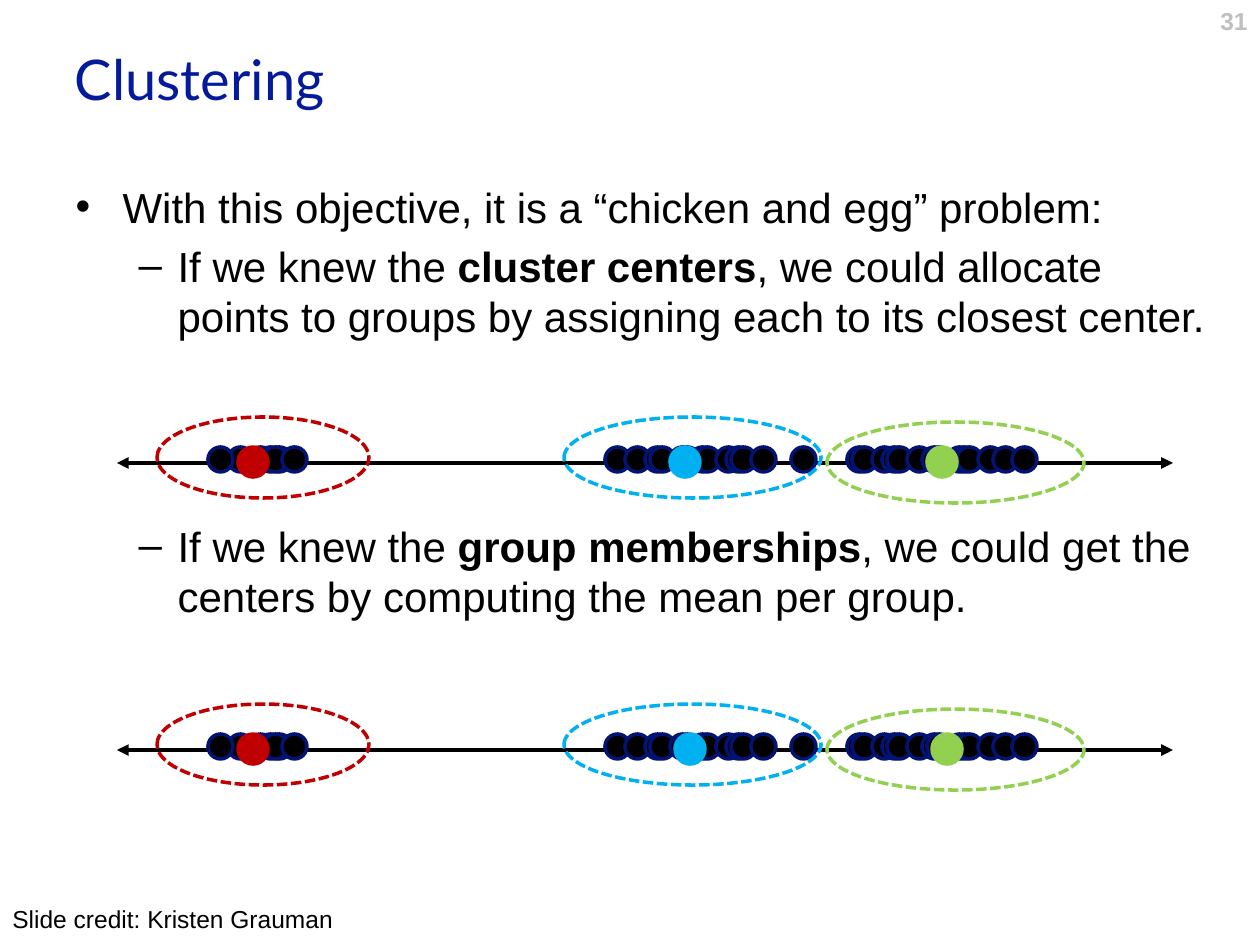
from lxml import etree
from pptx import Presentation
from pptx.dml.color import RGBColor
from pptx.enum.dml import MSO_LINE
from pptx.enum.shapes import MSO_CONNECTOR, MSO_SHAPE
from pptx.enum.text import MSO_ANCHOR, MSO_AUTO_SIZE, PP_ALIGN
from pptx.oxml.ns import qn
from pptx.util import Emu, Pt

STRAIGHT = MSO_CONNECTOR.STRAIGHT
ELLIPSE = MSO_SHAPE.OVAL
DASHED = MSO_LINE.SQUARE_DOT
LEFT, RIGHT = PP_ALIGN.LEFT, PP_ALIGN.RIGHT
TOP, MIDDLE = MSO_ANCHOR.TOP, MSO_ANCHOR.MIDDLE
NO_FIT = MSO_AUTO_SIZE.NONE

BLACK, NAVY, GREY, TITLE_BLUE = "000000", "031373", "BFBFBF", "041A9B"
RED, BLUE, GREEN = "C00000", "00B0F0", "92D050"

# Left edges of the data points, in drawing order
POINTS = [228, 248, 208, 267, 605, 625, 645, 650, 670, 675, 258, 263, 282,
          847, 852, 872, 882, 887, 907, 690, 695, 716, 726, 731, 751, 791,
          922, 927, 947, 952, 957, 978, 993, 1012]
# Colour and outline box of each cluster, for a number line at the top row
CLUSTERS = [(RED, (157, 417, 212, 81)),
            (BLUE, (564, 417, 257, 81)),
            (GREEN, (827, 422, 257, 81))]
ROW_STEP = 287
CENTERS_BY_ROW = [(238, 670, 927), (238, 675, 932)]

# Text, level, first-line layout; bold spans are marked True
BULLETS = [
    dict(spans=[("With this objective, it is a “chicken and egg” problem:", False)],
         level=0, mark="•", margin=47, hang=47, before=0),
    dict(spans=[("If we knew the ", False), ("cluster centers", True),
                (", we could allocate points to groups by assigning each "
                 "to its closest center.", False)],
         level=1, mark="–", margin=102, hang=39, before=4.8),
    dict(spans=[("If we knew the ", False), ("group memberships", True),
                (", we could get the centers by computing the mean per group.",
                 False)],
         level=1, mark="–", margin=102, hang=39, before=102.5),
]


def px(length):
    return Emu(round(length * 914400 / 126))


def color(value):
    return RGBColor.from_string(value)


def set_font(font, size, hex_color, **formats):
    font.size = Pt(size)
    font.color.rgb = color(hex_color)
    for name, value in formats.items():
        setattr(font, name, value)


def place(shape, *bounds):
    for name, value in zip(("left", "top", "width", "height"), bounds):
        setattr(shape, name, px(value))


def set_frame(frame, anchor):
    formats = dict(word_wrap=True, auto_size=NO_FIT, vertical_anchor=anchor)
    for name, value in formats.items():
        setattr(frame, name, value)


def add_label(page, text, bounds, align, size, hex_color, bold=False):
    box = page.shapes.add_textbox(*map(px, bounds))
    set_frame(box.text_frame, TOP)
    para = box.text_frame.paragraphs[0]
    para.alignment = align
    span = para.add_run()
    span.text = text
    set_font(span.font, size, hex_color, name="Arial", bold=bold)


def fill_title(page):
    title = page.shapes.title
    place(title, 62, 0, 1134, 157)
    set_frame(title.text_frame, MIDDLE)
    para = title.text_frame.paragraphs[0]
    para.alignment = LEFT
    span = para.add_run()
    span.text = "Clustering"
    set_font(span.font, 32, TITLE_BLUE, name="Lato")


def fill_bullets(page):
    body = page.placeholders[1]
    place(body, 63, 175, 1160, 624)
    frame = body.text_frame
    set_frame(frame, TOP)
    for index, bullet in enumerate(BULLETS):
        para = frame.add_paragraph() if index else frame.paragraphs[0]
        para.level = bullet["level"]
        para.space_before = Pt(bullet["before"])
        props = para._p.get_or_add_pPr()
        props.set("marL", str(px(bullet["margin"])))
        props.set("indent", str(-px(bullet["hang"])))
        etree.SubElement(props, qn("a:buChar"), char=bullet["mark"])
        for text, bold in bullet["spans"]:
            span = para.add_run()
            span.text = text
            set_font(span.font, 24, BLACK, name="Arial", bold=bold)


def add_ellipse(shapes, bounds, line, fill=None, dash=None):
    ellipse = shapes.add_shape(ELLIPSE, *map(px, bounds))
    ellipse.shadow.inherit = False
    if fill:
        ellipse.fill.solid()
        ellipse.fill.fore_color.rgb = color(fill)
    else:
        ellipse.fill.background()
    ellipse.line.color.rgb = color(line)
    ellipse.line.width = Pt(2)
    if dash:
        ellipse.line.dash_style = dash


def add_axis(shapes, y):
    axis = shapes.add_connector(STRAIGHT, px(117), px(y), px(1173), px(y))
    axis.line.color.rgb = color(BLACK)
    axis.line.width = Pt(2.25)
    outline = axis.line._get_or_add_ln()
    for end in ("a:headEnd", "a:tailEnd"):
        etree.SubElement(outline, qn(end), type="triangle")
    etree.SubElement(axis._element.spPr, qn("a:effectLst"))


def add_number_line(page, offset, centers):
    # Axis and its data points belong together
    group = page.shapes.add_group_shape()
    add_axis(group.shapes, 463 + offset)
    for left in POINTS:
        add_ellipse(group.shapes, (left, 447 + offset, 25, 25), NAVY, BLACK)
    # Cluster outlines and their centers
    for (hue, (left, top, width, height)), center in zip(CLUSTERS, centers):
        add_ellipse(page.shapes, (left, top + offset, width, height), hue, dash=DASHED)
        add_ellipse(page.shapes, (center, 447 + offset, 30, 30), hue, hue)


def main():
    deck = Presentation()
    deck.slide_width, deck.slide_height = px(1260), px(945)
    page = deck.slides.add_slide(deck.slide_layouts[1])

    # Text
    add_label(page, "31", (966, 0, 294, 50), RIGHT, 14, GREY, bold=True)
    fill_title(page)
    fill_bullets(page)

    # Number lines with clusters
    for row, centers in enumerate(CENTERS_BY_ROW):
        add_number_line(page, row * ROW_STEP, centers)

    # Credit
    add_label(page, "Slide credit: Kristen Grauman", (0, 898, 353, 43),
              LEFT, 14, BLACK)
    deck.save("out.pptx")


if __name__ == "__main__":
    main()
